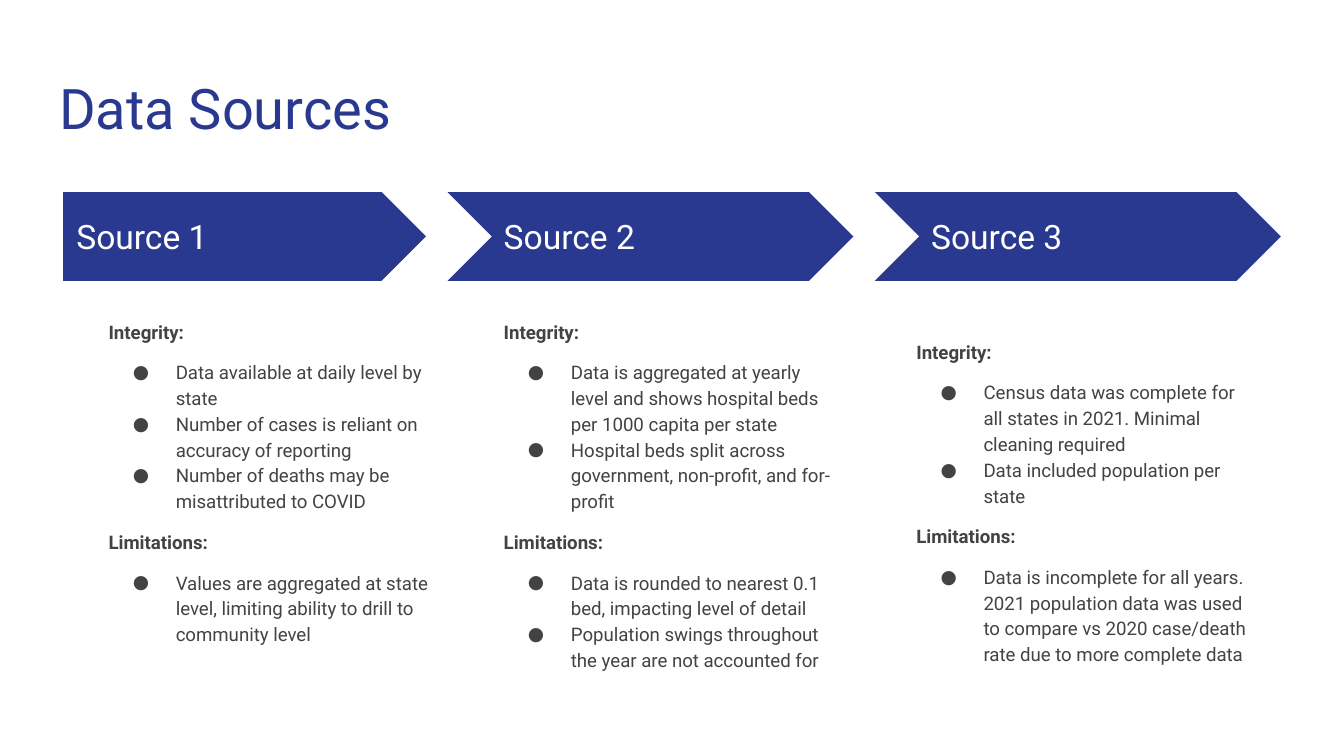
"""Build the Data Sources slide: three arrows over three columns of notes."""
from lxml import etree
from pptx import Presentation
from pptx.dml.color import RGBColor
from pptx.enum.shapes import MSO_SHAPE
from pptx.enum.text import MSO_ANCHOR, MSO_AUTO_SIZE, PP_ALIGN
from pptx.oxml.ns import qn
from pptx.util import Inches, Pt

TAB, ARROW = MSO_SHAPE.PENTAGON, MSO_SHAPE.CHEVRON
TOP, MID = MSO_ANCHOR.TOP, MSO_ANCHOR.MIDDLE
LEFT, FIXED = PP_ALIGN.LEFT, MSO_AUTO_SIZE.NONE

FONT, BLUE, GREY, WHITE = "Roboto", "2A3990", "434343", "FFFFFF"
WIDE = 10
HIGH = WIDE * 9 / 16
START, PITCH, COL, NOTCH = 0.47, 3.18, 2.7, 0.32
ROW, TALL = 1.43, 0.66

TITLE = "Data Sources"
SOURCES = [
    {"name": "Source 1", "shape": TAB, "notch": 0, "shift": 0.24, "top": 2.26,
     "notes": [
         ("Integrity:", ["Data available at daily level by state",
                         "Number of cases is reliant on accuracy of reporting",
                         "Number of deaths may be misattributed to COVID"]),
         ("Limitations:", ["Values are aggregated at state level, limiting "
                           "ability to drill to community level"])]},
    {"name": "Source 2", "shape": ARROW, "notch": NOTCH, "shift": 0, "top": 2.26,
     "notes": [
         ("Integrity:", ["Data is aggregated at yearly level and shows "
                         "hospital beds per 1000 capita per state",
                         "Hospital beds split across government, non-profit, "
                         "and for-profit"]),
         ("Limitations:", ["Data is rounded to nearest 0.1 bed, impacting "
                           "level of detail",
                           "Population swings throughout the year are not "
                           "accounted for"])]},
    {"name": "Source 3", "shape": ARROW, "notch": NOTCH, "shift": -0.11, "top": 2.41,
     "notes": [
         ("Integrity:", ["Census data was complete for all states in 2021. "
                         "Minimal cleaning required",
                         "Data included population per state"]),
         ("Limitations:", ["Data is incomplete for all years. 2021 population "
                           "data was used to compare vs 2020 case/death rate "
                           "due to more complete data"])]},
]


def paint(part, tint):
    part.rgb = RGBColor.from_string(tint)


def frame(shape, anchor):
    text = shape.text_frame
    text.word_wrap, text.auto_size = True, FIXED
    text.vertical_anchor = anchor
    text.margin_left = text.margin_right = Inches(0.1)
    text.margin_top = text.margin_bottom = Inches(0.1)
    return text


def box(slide, x, y, w, h, anchor):
    spot = map(Inches, (x, y, w, h))
    return frame(slide.shapes.add_textbox(*spot), anchor)


def write(para, words, size, tint, bold=False):
    para.alignment = LEFT
    run = para.add_run()
    run.text = words
    run.font.name, run.font.size, run.font.bold = FONT, Pt(size), bold
    paint(run.font.color, tint)


def bullet(para):
    props = para._p.get_or_add_pPr()
    props.set("marL", str(Inches(0.5)))
    props.set("indent", str(Inches(-0.32)))
    color = etree.SubElement(props, qn("a:buClr"))
    etree.SubElement(color, qn("a:srgbClr"), val=GREY)
    etree.SubElement(props, qn("a:buFont"), typeface=FONT)
    etree.SubElement(props, qn("a:buChar"), char="●")


def fill_notes(text, notes):
    lines = [(words, rank) for head, items in notes
             for rank, words in enumerate([head, *items])]
    for spot, (words, rank) in enumerate(lines):
        para = text.add_paragraph() if spot else text.paragraphs[0]
        if rank:
            bullet(para)
        para.line_spacing = 1.15
        para.space_before = Pt(8 if spot and rank < 2 else 0)
        write(para, words, 10, GREY, bold=rank == 0)


def add_source(slide, index, source):
    left = START + index * PITCH
    notch = source["notch"]
    spot = map(Inches, (left - notch, ROW, COL + notch, TALL))
    arrow = slide.shapes.add_shape(source["shape"], *spot)
    arrow.shadow.inherit = False
    arrow.fill.solid()
    paint(arrow.fill.fore_color, BLUE)
    arrow.line.fill.background()
    label = box(slide, left, ROW + 0.16, 2.47, 0.34, MID)
    write(label.paragraphs[0], source["name"], 18, WHITE)
    notes = box(slide, left + source["shift"], source["top"], COL, 2.9, TOP)
    fill_notes(notes, source["notes"])


def main():
    deck = Presentation()
    deck.slide_width, deck.slide_height = Inches(WIDE), Inches(HIGH)
    slide = deck.slides.add_slide(deck.slide_layouts[5])
    title = slide.shapes.title
    title.left, title.top = Inches(0.34), Inches(0.45)
    title.width, title.height = Inches(9.32), Inches(0.66)
    write(frame(title, TOP).paragraphs[0], TITLE, 30, BLUE)
    for index, source in enumerate(SOURCES):
        add_source(slide, index, source)
    deck.save("out.pptx")


if __name__ == "__main__":
    main()
